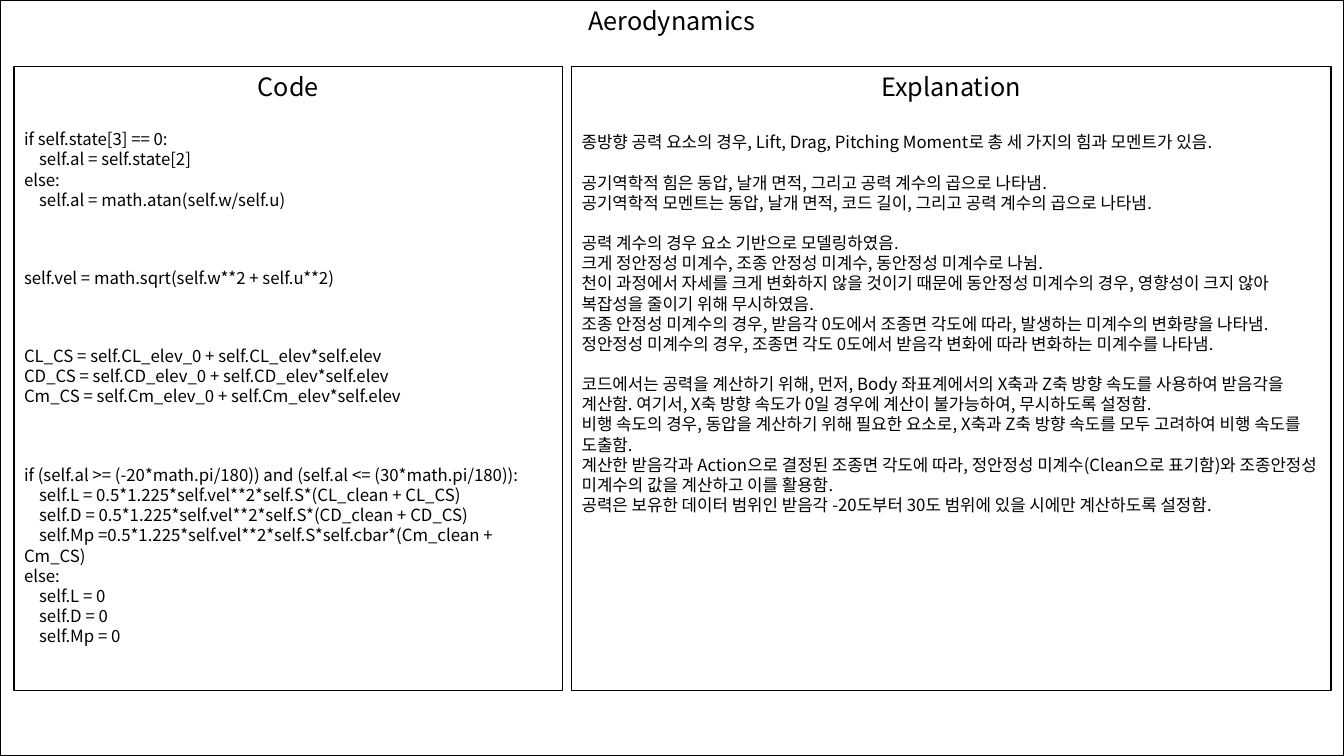
"""Build the Aerodynamics slide: simulation code beside its explanation."""
from dataclasses import dataclass

from pptx import Presentation
from pptx.dml.color import RGBColor
from pptx.enum.shapes import MSO_SHAPE
from pptx.enum.text import MSO_ANCHOR, MSO_AUTO_SIZE, PP_ALIGN
from pptx.util import Inches, Pt


@dataclass(frozen=True)
class Theme:
    font: str = "Noto Sans CJK KR"
    ink: RGBColor = RGBColor(0, 0, 0)
    title: float = 18
    body: float = 12
    line: float = 1
    title_gap: float = 21.6
    body_gap: float = 14.4
    code_indent: float = 0.15


@dataclass(frozen=True)
class Box:
    left: float
    top: float
    width: float
    height: float


@dataclass(frozen=True)
class Panel:
    box: Box
    title: str
    sections: tuple[tuple[str, ...], ...] = ()


@dataclass(frozen=True)
class Code:
    top: float
    height: float
    lines: tuple[tuple[int, str], ...]


T = Theme()
CODE_LEFT, CODE_WIDTH = 0.14, 5.44
PANEL_TOP, PANEL_HEIGHT = 0.66, 6.19

EXPLANATION = (
    ("종방향 공력 요소의 경우, Lift, Drag, Pitching Moment로 총 세 가지의 힘과 모멘트가 있음.",),
    ("공기역학적 힘은 동압, 날개 면적, 그리고 공력 계수의 곱으로 나타냄.",
     "공기역학적 모멘트는 동압, 날개 면적, 코드 길이, 그리고 공력 계수의 곱으로 나타냄."),
    ("공력 계수의 경우 요소 기반으로 모델링하였음.",
     "크게 정안정성 미계수, 조종 안정성 미계수, 동안정성 미계수로 나뉨.",
     "천이 과정에서 자세를 크게 변화하지 않을 것이기 때문에 동안정성 미계수의 경우, "
     "영향성이 크지 않아 복잡성을 줄이기 위해 무시하였음.",
     "조종 안정성 미계수의 경우, 받음각 0도에서 조종면 각도에 따라, 발생하는 미계수의 변화량을 나타냄.",
     "정안정성 미계수의 경우, 조종면 각도 0도에서 받음각 변화에 따라 변화하는 미계수를 나타냄."),
    ("코드에서는 공력을 계산하기 위해, 먼저, Body 좌표계에서의 X축과 Z축 방향 속도를 사용하여 "
     "받음각을 계산함. 여기서, X축 방향 속도가 0일 경우에 계산이 불가능하여, 무시하도록 설정함.",
     "비행 속도의 경우, 동압을 계산하기 위해 필요한 요소로, X축과 Z축 방향 속도를 모두 고려하여 "
     "비행 속도를 도출함.",
     "계산한 받음각과 Action으로 결정된 조종면 각도에 따라, 정안정성 미계수(Clean으로 표기함)와 "
     "조종안정성 미계수의 값을 계산하고 이를 활용함.",
     "공력은 보유한 데이터 범위인 받음각 -20도부터 30도 범위에 있을 시에만 계산하도록 설정함."),
)

PANELS = (
    Panel(Box(0, 0, 13.33, 7.5), "Aerodynamics"),
    Panel(Box(CODE_LEFT, PANEL_TOP, CODE_WIDTH, PANEL_HEIGHT), "Code"),
    Panel(Box(5.67, PANEL_TOP, 7.53, PANEL_HEIGHT), "Explanation", EXPLANATION),
)

CODES = (
    Code(1.23, 0.91, (
        (0, "if self.state[3] == 0:"),
        (1, "self.al = self.state[2]"),
        (0, "else:"),
        (1, "self.al = math.atan(self.w/self.u)"))),
    Code(2.61, 0.3, ((0, "self.vel = math.sqrt(self.w**2 + self.u**2)"),)),
    Code(3.38, 0.71, (
        (0, "CL_CS = self.CL_elev_0 + self.CL_elev*self.elev"),
        (0, "CD_CS = self.CD_elev_0 + self.CD_elev*self.elev"),
        (0, "Cm_CS = self.Cm_elev_0 + self.Cm_elev*self.elev"))),
    Code(4.56, 1.72, (
        (0, "if (self.al >= (-20*math.pi/180)) and (self.al <= (30*math.pi/180)):"),
        (1, "self.L = 0.5*1.225*self.vel**2*self.S*(CL_clean + CL_CS)"),
        (1, "self.D = 0.5*1.225*self.vel**2*self.S*(CD_clean + CD_CS)"),
        (1, "self.Mp =0.5*1.225*self.vel**2*self.S*self.cbar*(Cm_clean + Cm_CS)"),
        (0, "else:"),
        (1, "self.L = 0"),
        (1, "self.D = 0"),
        (1, "self.Mp = 0"))),
)


def inches(box: Box) -> tuple:
    """Return the box as slide lengths."""
    return tuple(Inches(v) for v in (box.left, box.top, box.width, box.height))


def write(p, text: str, size: float, align=PP_ALIGN.LEFT, gap: float = 0) -> None:
    """Fill a paragraph and set its type."""
    p.text = text
    p.alignment = align
    p.space_before = Pt(gap)
    p.font.name = T.font
    p.font.size = Pt(size)
    p.font.color.rgb = T.ink


def draw_panel(s, panel: Panel) -> None:
    """Draw an outlined panel with a centred title and spaced sections."""
    sp = s.shapes.add_shape(MSO_SHAPE.RECTANGLE, *inches(panel.box))
    sp.shadow.inherit = False
    sp.fill.background()
    sp.line.color.rgb = T.ink
    sp.line.width = Pt(T.line)
    tf = sp.text_frame
    tf.word_wrap = True
    tf.vertical_anchor = MSO_ANCHOR.TOP
    write(tf.paragraphs[0], panel.title, T.title, PP_ALIGN.CENTER)
    for i, section in enumerate(panel.sections):
        for j, text in enumerate(section):
            gap = 0 if j else T.body_gap if i else T.title_gap
            write(tf.add_paragraph(), text, T.body, gap=gap)


def draw_code(s, code: Code) -> None:
    """Draw a code block with first-line indents."""
    box = Box(CODE_LEFT, code.top, CODE_WIDTH, code.height)
    tf = s.shapes.add_textbox(*inches(box)).text_frame
    tf.word_wrap = True
    tf.auto_size = MSO_AUTO_SIZE.SHAPE_TO_FIT_TEXT
    for i, (level, text) in enumerate(code.lines):
        p = tf.add_paragraph() if i else tf.paragraphs[0]
        write(p, text, T.body)
        if level:
            pPr = p._p.get_or_add_pPr()
            pPr.set("marL", "0")
            pPr.set("indent", str(Inches(level * T.code_indent)))


def main() -> None:
    """Build and save the slide."""
    prs = Presentation()
    prs.slide_width, prs.slide_height = Inches(13.33), Inches(7.5)
    s = prs.slides.add_slide(prs.slide_layouts[6])
    for panel in PANELS:
        draw_panel(s, panel)
    for code in CODES:
        draw_code(s, code)
    prs.save("out.pptx")


if __name__ == "__main__":
    main()
